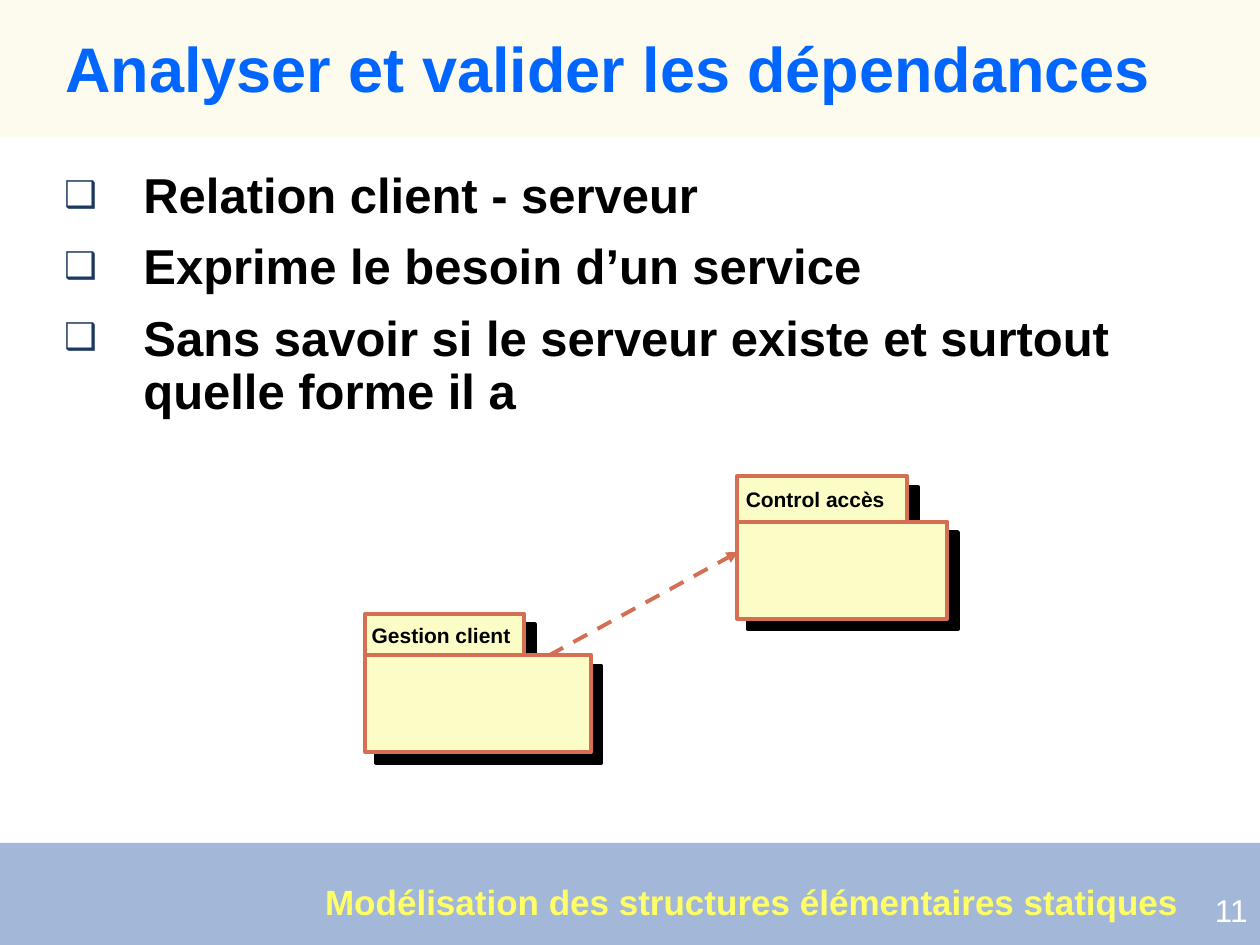
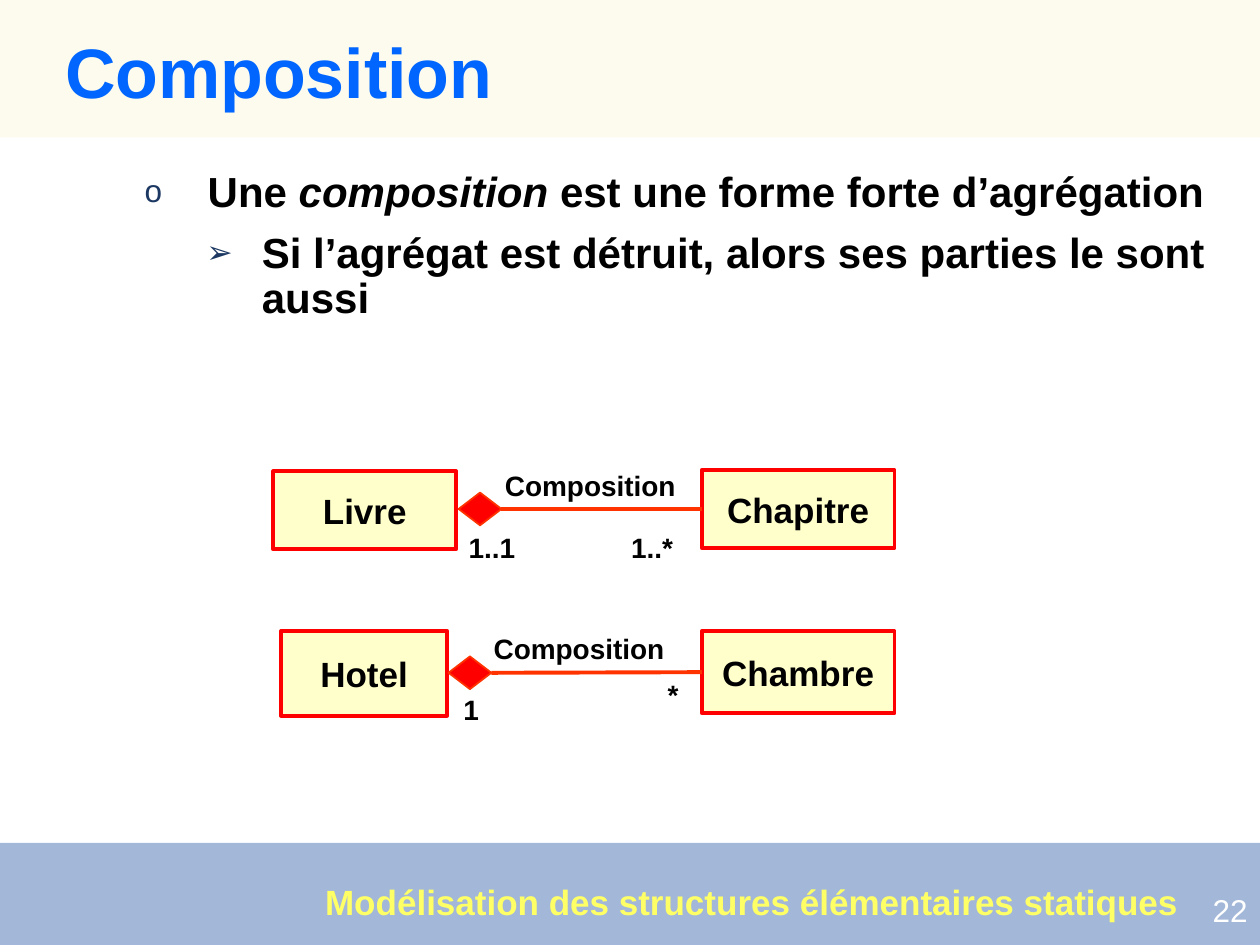
from dataclasses import dataclass

from lxml import etree
from pptx import Presentation
from pptx.dml.color import RGBColor
from pptx.enum import dml, shapes, text
from pptx.oxml import ns
from pptx.util import Inches, Pt

FONT = "Arial"
BLACK = RGBColor(0x00, 0x00, 0x00)
WHITE = RGBColor(0xFF, 0xFF, 0xFF)
HEADER_CREAM = RGBColor(0xFA, 0xF8, 0xD8)
FOOTER_BLUE = RGBColor(0x33, 0x63, 0xA9)
TITLE_BLUE = RGBColor(0x00, 0x66, 0xFF)
FOOTER_YELLOW = RGBColor(0xFF, 0xFF, 0x66)
BULLET_NAVY = RGBColor(0x1C, 0x38, 0x62)
PACKAGE_FILL = RGBColor(0xFC, 0xFD, 0xC6)
PACKAGE_LINE = RGBColor(0xD4, 0x6F, 0x54)
CLASS_FILL = RGBColor(0xFF, 0xFF, 0xCC)
RED = RGBColor(0xFF, 0x00, 0x00)
ORANGE_RED = RGBColor(0xFF, 0x33, 0x00)

LEFT, CENTER, RIGHT = text.PP_ALIGN.LEFT, text.PP_ALIGN.CENTER, text.PP_ALIGN.RIGHT
RECTANGLE = shapes.MSO_SHAPE.RECTANGLE
LINE_WIDTH = 2.25
BAND_ALPHA = 45
FOOTER_TEXT = "Modélisation des structures élémentaires statiques"


@dataclass(frozen=True)
class Box:
    left: float
    top: float
    width: float
    height: float

    def lengths(self) -> list:
        return [Inches(value) for value in (self.left, self.top, self.width, self.height)]


@dataclass(frozen=True)
class Bullet:
    symbol: str
    level: int
    margin: float
    hanging: float


@dataclass(frozen=True)
class Run:
    text: str
    italic: bool = False


@dataclass(frozen=True)
class Item:
    bullet: Bullet | None
    runs: tuple


@dataclass(frozen=True)
class Folder:
    """A UML package: a tab, a body and the name on the tab."""
    name: str
    tab: Box
    body: Box
    label: Box


@dataclass(frozen=True)
class Label:
    text: str
    box: Box


@dataclass(frozen=True)
class Composition:
    whole: Label
    component: Label
    diamond: Box
    labels: tuple


SQUARE = Bullet("❑", 0, 0.63, 0.63)
CIRCLE = Bullet("o", 1, 1.13, 0.5)
ARROW = Bullet("➢", 2, 1.56, 0.44)

DEPENDENCY_ITEMS = tuple(
    Item(SQUARE, (Run(sentence),))
    for sentence in (
        "Relation client - serveur",
        "Exprime le besoin d’un service",
        "Sans savoir si le serveur existe et surtout quelle forme il a",
    )
)
COMPOSITION_ITEMS = (
    Item(CIRCLE, (Run("Une "), Run("composition", True), Run(" est une forme forte d’agrégation"))),
    Item(ARROW, (Run("Si l’agrégat est détruit, alors ses parties le sont aussi"),)),
)
FOLDERS = (
    Folder("Control accès", Box(5.85, 3.78, 1.35, 0.36), Box(5.85, 4.14, 1.67, 0.77),
           Box(5.82, 3.81, 1.3, 0.3)),
    Folder("Gestion client", Box(2.9, 4.87, 1.26, 0.33), Box(2.9, 5.2, 1.79, 0.77),
           Box(2.83, 4.89, 1.32, 0.3)),
)
COMPOSITIONS = (
    Composition(
        Label("Livre", Box(2.17, 3.74, 1.45, 0.62)),
        Label("Chapitre", Box(5.57, 3.73, 1.53, 0.62)),
        Box(3.64, 3.91, 0.34, 0.26),
        (
            Label("Composition", Box(3.91, 3.67, 1.77, 0.37)),
            Label("1..1", Box(3.62, 4.16, 0.61, 0.37)),
            Label("1..*", Box(4.91, 4.16, 0.61, 0.37)),
        ),
    ),
    Composition(
        Label("Hotel", Box(2.23, 5.01, 1.32, 0.67)),
        Label("Chambre", Box(5.57, 5.01, 1.53, 0.65)),
        Box(3.56, 5.21, 0.34, 0.26),
        (
            Label("Composition", Box(3.82, 4.96, 1.77, 0.37)),
            Label("1", Box(3.58, 5.45, 0.61, 0.37)),
            Label("*", Box(5.2, 5.33, 0.4, 0.37)),
        ),
    ),
)


def add_element(parent, tag: str, **attributes):
    return etree.SubElement(parent, ns.qn(tag), {key: str(value) for key, value in attributes.items()})


def write_text(frame, content, *, size: float, color: RGBColor = BLACK, bold: bool = True,
               align=LEFT, anchor=text.MSO_ANCHOR.TOP, wrap: bool = True,
               inset: tuple = (0.1, 0.05), line_spacing: float = 1.0, space_before: float = 0):
    """Fill a frame with a plain string or with a sequence of bulleted items."""
    frame.word_wrap = wrap
    frame.vertical_anchor = anchor
    frame.margin_left = frame.margin_right = Inches(inset[0])
    frame.margin_top = frame.margin_bottom = Inches(inset[1])
    items = (Item(None, (Run(content),)),) if isinstance(content, str) else content
    for index, item in enumerate(items):
        paragraph = frame.add_paragraph() if index else frame.paragraphs[0]
        if item.bullet:
            add_bullet(paragraph, item.bullet)
        paragraph.alignment = align
        paragraph.line_spacing = line_spacing
        paragraph.space_before = Pt(space_before if index else 0)
        for piece in item.runs:
            run = paragraph.add_run()
            run.text = piece.text
            run.font.name = FONT
            run.font.size = Pt(size)
            run.font.bold = bold
            run.font.italic = piece.italic
            run.font.color.rgb = color


def add_bullet(paragraph, bullet: Bullet):
    paragraph.level = bullet.level
    properties = paragraph._p.get_or_add_pPr()
    properties.set("marL", str(Inches(bullet.margin)))
    properties.set("indent", str(-Inches(bullet.hanging)))
    add_element(add_element(properties, "a:buClr"), "a:srgbClr", val=BULLET_NAVY)
    add_element(properties, "a:buSzPct", val=75000)
    add_element(properties, "a:buFont", typeface=FONT)
    add_element(properties, "a:buChar", char=bullet.symbol)


def add_text(slide, box: Box, content, **text_format):
    write_text(slide.shapes.add_textbox(*box.lengths()).text_frame, content, **text_format)


def add_figure(slide, kind, box: Box, fill: RGBColor, line: RGBColor | None = None,
               line_width: float = LINE_WIDTH):
    shape = slide.shapes.add_shape(kind, *box.lengths())
    shape.shadow.inherit = False
    shape.fill.solid()
    shape.fill.fore_color.rgb = fill
    if line is None:
        shape.line.fill.background()
    else:
        shape.line.color.rgb = line
        shape.line.width = Pt(line_width)
    return shape


def add_line(slide, start: tuple, end: tuple, color: RGBColor):
    points = [Inches(value) for value in (*start, *end)]
    connector = slide.shapes.add_connector(shapes.MSO_CONNECTOR.STRAIGHT, *points)
    connector.line.color.rgb = color
    connector.line.width = Pt(LINE_WIDTH)
    add_element(connector._element.spPr, "a:effectLst")
    return connector


def add_band(slide, box: Box, color: RGBColor):
    band = add_figure(slide, RECTANGLE, box, color)
    tint = band._element.spPr.find(".//" + ns.qn("a:srgbClr"))
    add_element(tint, "a:alpha", val=BAND_ALPHA * 1000)


def add_shadowed_rectangle(slide, box: Box):
    """Draw a rectangle with a hard shadow towards the lower right."""
    rectangle = add_figure(slide, RECTANGLE, box, PACKAGE_FILL, PACKAGE_LINE)
    effects = rectangle._element.spPr.find(ns.qn("a:effectLst"))
    shadow = add_element(effects, "a:outerShdw", blurRad=0, dist=Pt(8.5), dir=45 * 60000,
                         algn="ctr", rotWithShape=0)
    add_element(shadow, "a:srgbClr", val=BLACK)


def add_class_box(slide, label: Label):
    shape = add_figure(slide, RECTANGLE, label.box, CLASS_FILL, RED)
    write_text(shape.text_frame, label.text, size=20, align=CENTER,
               anchor=text.MSO_ANCHOR.MIDDLE, wrap=False)
    return shape


def add_composition(slide, composition: Composition):
    add_class_box(slide, composition.whole)
    component = add_class_box(slide, composition.component)
    diamond = add_figure(slide, shapes.MSO_SHAPE.DIAMOND, composition.diamond, RED, ORANGE_RED, 1)
    link = add_line(slide, (0, 0), (1, 1), ORANGE_RED)
    link.begin_connect(diamond, 3)
    link.end_connect(component, 1)
    for label in composition.labels:
        add_text(slide, label.box, label.text, size=16)


def add_base_slide(presentation, title: str, title_size: float, number: int):
    slide = presentation.slides.add_slide(presentation.slide_layouts[6])
    add_band(slide, Box(0, 0, 10, 1.09), HEADER_CREAM)
    add_band(slide, Box(0, 6.69, 10, 0.81), FOOTER_BLUE)
    add_text(slide, Box(9.02, 7.02, 0.98, 0.4), str(number), size=18, color=WHITE,
             bold=False, align=RIGHT)
    add_text(slide, Box(0.42, 0.25, 9.37, 0.7), title, size=title_size, color=TITLE_BLUE,
             line_spacing=0.9)
    add_text(slide, Box(2.58, 6.99, 6.78, 0.33), FOOTER_TEXT, size=20, color=FOOTER_YELLOW,
             wrap=False, inset=(0, 0))
    return slide


def build_dependency_slide(presentation):
    slide = add_base_slide(presentation, "Analyser et valider les dépendances", 36, 11)
    add_text(slide, Box(0.41, 1.31, 9.38, 2.07), DEPENDENCY_ITEMS, size=28,
             line_spacing=0.9, space_before=10.5)
    for folder in FOLDERS:
        add_shadowed_rectangle(slide, folder.tab)
        add_shadowed_rectangle(slide, folder.body)
        add_text(slide, folder.label, folder.name, size=12, align=RIGHT, wrap=False)
    dependency = add_line(slide, (4.36, 5.2), (5.86, 4.38), PACKAGE_LINE)
    dependency.line.dash_style = dml.MSO_LINE.DASH
    outline = dependency._element.spPr.find(ns.qn("a:ln"))
    add_element(outline, "a:tailEnd", type="triangle")


def build_composition_slide(presentation):
    slide = add_base_slide(presentation, "Composition", 40, 22)
    add_text(slide, Box(0.42, 1.31, 9.38, 1.87), COMPOSITION_ITEMS, size=24,
             line_spacing=0.9, space_before=9)
    for composition in COMPOSITIONS:
        add_composition(slide, composition)


def main():
    presentation = Presentation()
    presentation.slide_width, presentation.slide_height = Inches(10), Inches(7.5)
    build_dependency_slide(presentation)
    build_composition_slide(presentation)
    presentation.save("out.pptx")


if __name__ == "__main__":
    main()
